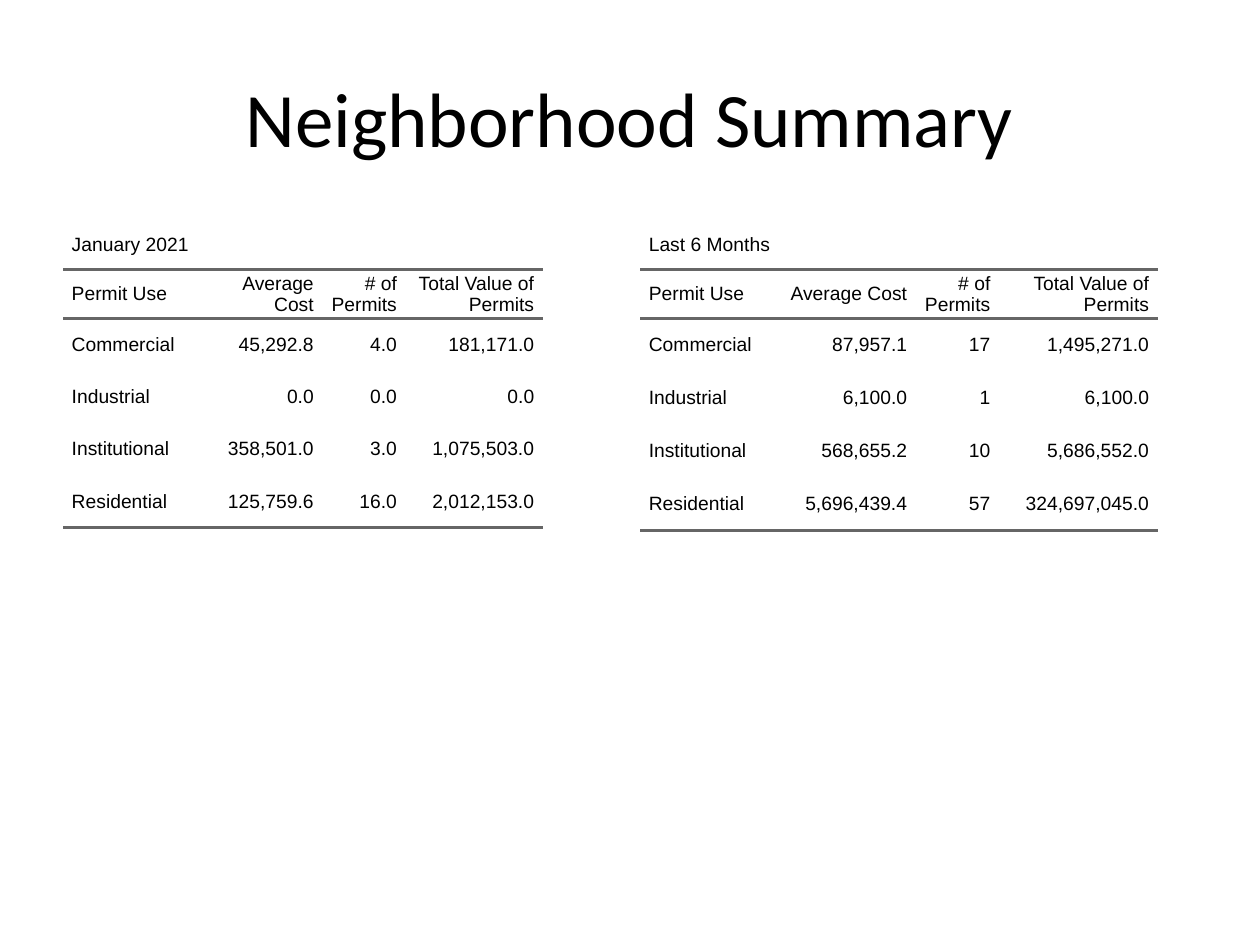
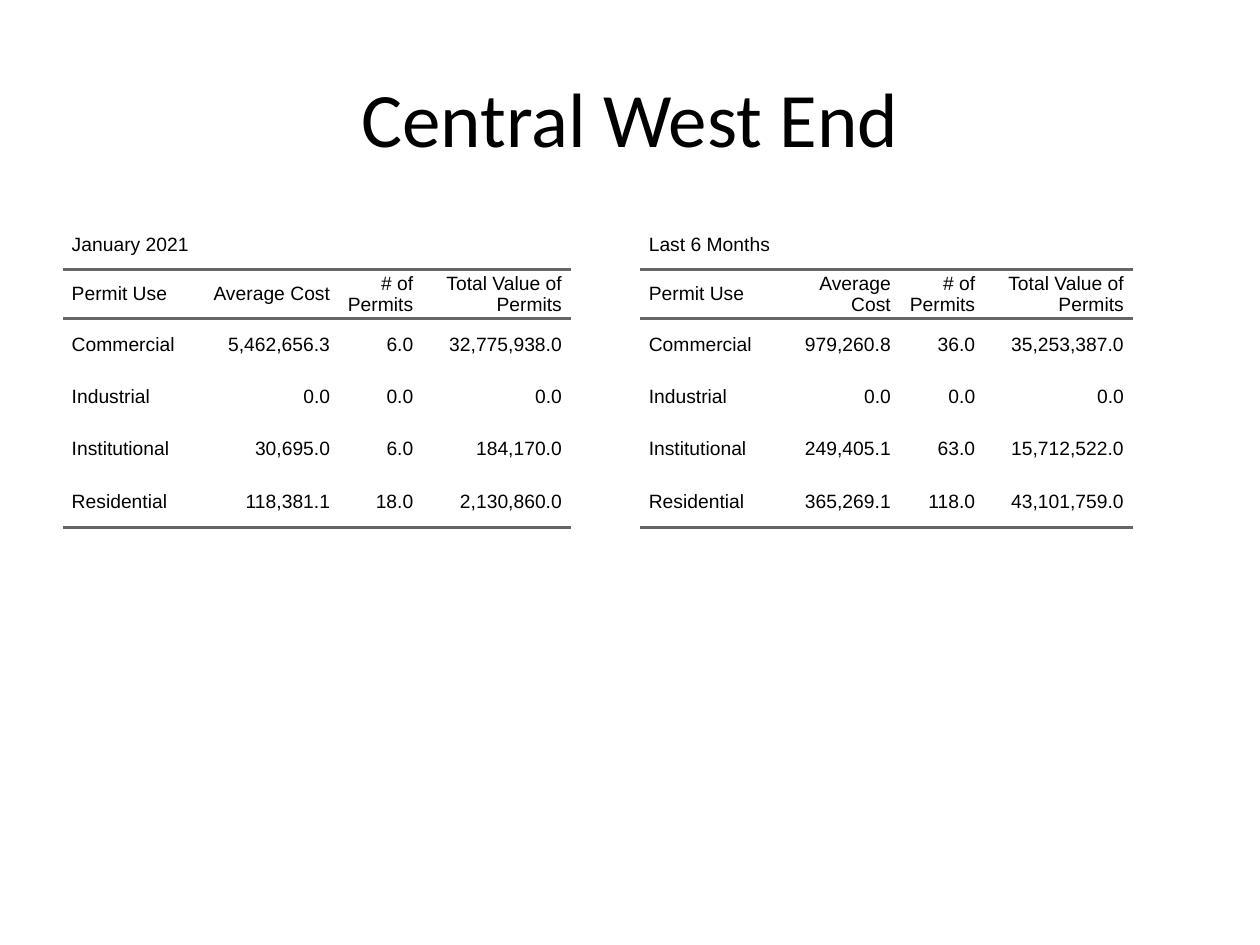
from dataclasses import dataclass

from lxml.etree import SubElement
from pptx import Presentation
from pptx.dml.color import RGBColor as RGB
from pptx.enum.text import MSO_ANCHOR as ANCHOR, PP_ALIGN as ALIGN
from pptx.oxml.ns import qn
from pptx.util import Emu, Inches, Pt


@dataclass(frozen=True)
class Theme:
    """Colours, fonts, sizes and slide grid."""
    ink: RGB = RGB(0, 0, 0)
    rule: str = "666666"
    rule_width: int = Pt(2)
    title_font: str = "Calibri"
    title_size: int = Pt(44)
    cell_font: str = "Arial"
    cell_size: int = Pt(11)
    cell_pad: int = Pt(5)
    plain_style: str = "{2D5ABB26-0587-4C30-8999-92F81FD0307C}"
    width: int = Inches(10)
    height: int = Inches(7.5)
    margin: int = Inches(0.5)
    panel_width: int = Inches(4.42)
    panel_height: int = Inches(4.95)
    panel_top: int = Inches(1.75)


def apply(obj, **values):
    """Set each named attribute on an object."""
    for name, value in values.items():
        setattr(obj, name, value)


class Deck:
    """Holds the theme and the current slide."""

    def __init__(self, theme):
        """Start an empty presentation."""
        self.t = theme
        self.prs = Presentation()
        apply(self.prs, slide_width=theme.width, slide_height=theme.height)

    def slide(self, title):
        """Add a slide with its title."""
        t = self.t
        self.s = self.prs.slides.add_slide(self.prs.slide_layouts[5])
        sp = self.s.shapes.title
        apply(sp, left=t.margin, top=Inches(0.3),
              width=t.width - 2 * t.margin, height=Inches(1.25))
        tf = sp.text_frame
        tf.vertical_anchor = ANCHOR.MIDDLE
        self.text(tf, title, ALIGN.CENTER, t.title_font, t.title_size)

    def text(self, tf, text, align, font, size):
        """Fill the first paragraph of a text frame."""
        p = tf.paragraphs[0]
        p.alignment = align
        r = p.add_run()
        r.text = text
        apply(r.font, name=font, size=size)
        r.font.color.rgb = self.t.ink
        return p

    def border(self, cell, sides):
        """Draw rules on the given sides of a cell."""
        tc_pr = cell._tc.get_or_add_tcPr()
        for side in sides:
            ln = SubElement(tc_pr, qn(f"a:ln{side}"), w=str(self.t.rule_width))
            fill = SubElement(ln, qn("a:solidFill"))
            SubElement(fill, qn("a:srgbClr"), val=self.t.rule)

    def cell(self, cell, text, align, sides):
        """Format one table cell and fill in its text."""
        t = self.t
        apply(cell, margin_left=0, margin_right=0, margin_top=0,
              margin_bottom=0, vertical_anchor=ANCHOR.MIDDLE)
        self.border(cell, sides)
        cell.fill.background()
        if text:
            p = self.text(cell.text_frame, text, align, t.cell_font, t.cell_size)
            apply(p, space_before=Pt(0), space_after=t.cell_pad)
            for side in ("marL", "marR"):
                p._p.get_or_add_pPr().set(side, str(t.cell_pad))

    def permits(self, panel, period, widths, values, industrial=0.4):
        """Add a permit table to the left (0) or right (1) panel."""
        t = self.t
        data = [(period, "", "", ""), HEADER]
        data += [(use, *row) for use, row in zip(USES, values)]
        left = t.margin + panel * (t.width - 2 * t.margin - t.panel_width)
        gf = self.s.shapes.add_table(len(data), len(HEADER), Emu(left),
                                     t.panel_top, t.panel_width, t.panel_height)
        tbl = gf.table
        apply(tbl, first_row=False, horz_banding=False)
        tbl._tbl.tblPr.find(qn("a:tableStyleId")).text = t.plain_style
        for col, width in zip(tbl.columns, widths):
            col.width = Inches(width)
        for row, height in zip(tbl.rows, (0.39, 0.39, 0.42, industrial, 0.42, 0.42)):
            row.height = Inches(height)
        apply(gf, width=t.panel_width, height=t.panel_height)
        rules = {1: "TB", len(data) - 1: "B"}
        for i, row in enumerate(data):
            for j, text in enumerate(row):
                align = ALIGN.RIGHT if j else ALIGN.LEFT
                self.cell(tbl.cell(i, j), text, align, rules.get(i, ""))
        tbl.cell(0, 0).merge(tbl.cell(0, len(HEADER) - 1))


HEADER = ("Permit Use", "Average Cost", "# of Permits", "Total Value of Permits")
USES = ("Commercial", "Industrial", "Institutional", "Residential")
MONTH, HALF_YEAR = "January 2021", "Last 6 Months"
NONE = ("0.0", "0.0", "0.0")


def main():
    """Build the permit summary slides."""
    deck = Deck(Theme())

    deck.slide("Neighborhood Summary")
    deck.permits(0, MONTH, (1.1, 0.96, 0.66, 1.09), [
        ("45,292.8", "4.0", "181,171.0"),
        NONE,
        ("358,501.0", "3.0", "1,075,503.0"),
        ("125,759.6", "16.0", "2,012,153.0")])
    deck.permits(1, HALF_YEAR, (1.1, 1.09, 0.66, 1.26), [
        ("87,957.1", "17", "1,495,271.0"),
        ("6,100.0", "1", "6,100.0"),
        ("568,655.2", "10", "5,686,552.0"),
        ("5,696,439.4", "57", "324,697,045.0")], industrial=0.42)

    deck.slide("Central West End")
    deck.permits(0, MONTH, (1.1, 1.09, 0.66, 1.18), [
        ("5,462,656.3", "6.0", "32,775,938.0"),
        NONE,
        ("30,695.0", "6.0", "184,170.0"),
        ("118,381.1", "18.0", "2,130,860.0")])
    deck.permits(1, HALF_YEAR, (1.1, 0.96, 0.67, 1.18), [
        ("979,260.8", "36.0", "35,253,387.0"),
        NONE,
        ("249,405.1", "63.0", "15,712,522.0"),
        ("365,269.1", "118.0", "43,101,759.0")])

    deck.prs.save("out.pptx")


if __name__ == "__main__":
    main()
